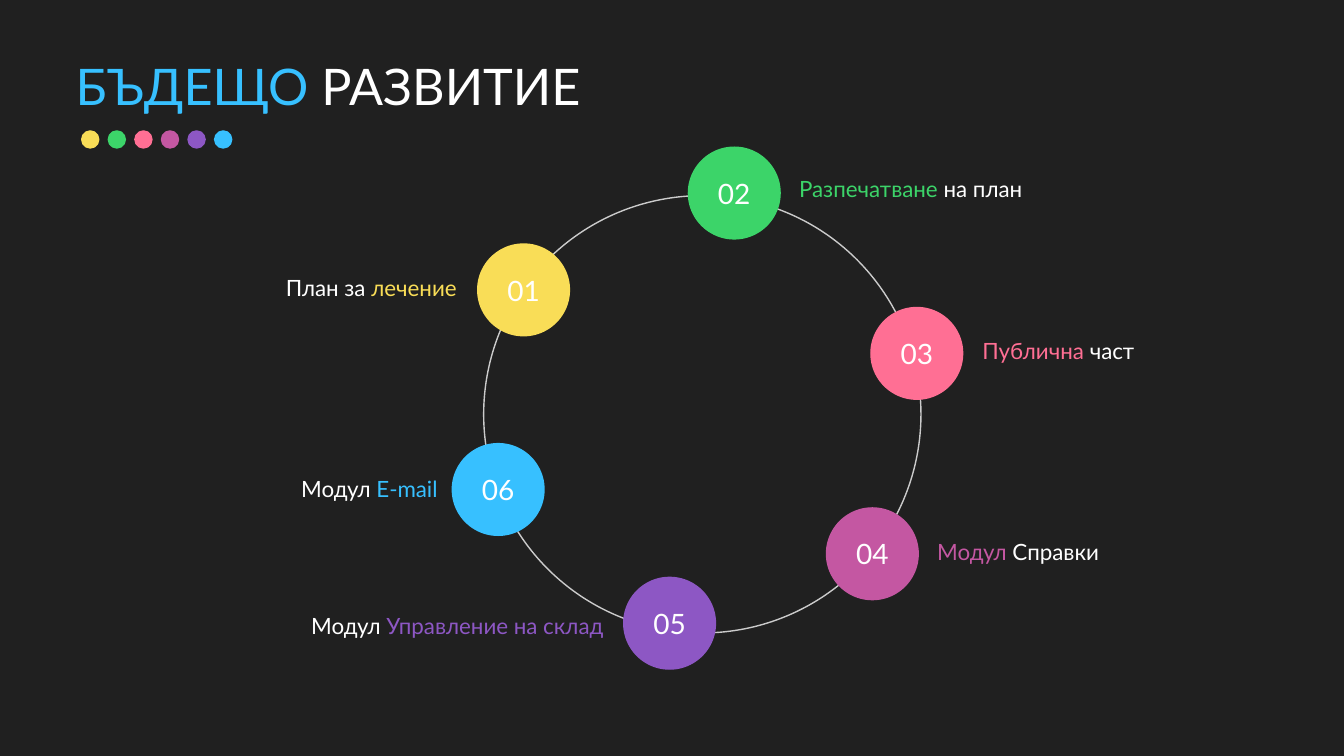
from pptx import Presentation
from pptx.dml.color import RGBColor
from pptx.enum.shapes import MSO_SHAPE as Shape
from pptx.enum.text import MSO_ANCHOR as Anchor, MSO_AUTO_SIZE as Fit, PP_ALIGN as Align
from pptx.util import Cm, Pt

WHITE = "FFFFFF"
YELLOW, GREEN, PINK = "F9DD57", "3CD469", "FF6F94"
MAUVE, PURPLE, BLUE = "C457A2", "8D57C4", "37C0FF"


def tint(code):
    return RGBColor.from_string(code)


class Deck:
    font = "Lato"
    ground = "202020"

    def __init__(self, wide, high):
        self.show = Presentation()
        self.show.slide_width, self.show.slide_height = Cm(wide), Cm(high)

    def add(self):
        self.slide = self.show.slides.add_slide(self.show.slide_layouts[5])
        fill = self.slide.background.fill
        fill.solid()
        fill.fore_color.rgb = tint(self.ground)

    def letter(self, frame, runs, size, align, anchor):
        frame.vertical_anchor = anchor
        para = frame.paragraphs[0]
        para.alignment = align
        for words, color in runs:
            run = para.add_run()
            run.text = words
            run.font.name = self.font
            run.font.size = Pt(size)
            run.font.color.rgb = tint(color)

    def title(self, left, top, wide, high, runs):
        box = self.slide.shapes.title
        box.left, box.top, box.width, box.height = Cm(left), Cm(top), Cm(wide), Cm(high)
        box.text_frame.auto_size = Fit.NONE
        self.letter(box.text_frame, runs, 36, Align.LEFT, Anchor.TOP)

    def label(self, left, top, wide, runs, align):
        box = self.slide.shapes.add_textbox(Cm(left), Cm(top), Cm(wide), Cm(0.94))
        box.text_frame.word_wrap = True
        box.text_frame.auto_size = Fit.SHAPE_TO_FIT_TEXT
        self.letter(box.text_frame, runs, 16, align, Anchor.TOP)

    def disc(self, kind, left, top, size, line, fill=None):
        disc = self.slide.shapes.add_shape(kind, Cm(left), Cm(top), Cm(size), Cm(size))
        disc.shadow.inherit = False
        disc.line.color.rgb = tint(line)
        disc.line.width = Pt(1)
        if fill:
            disc.fill.solid()
            disc.fill.fore_color.rgb = tint(fill)
        else:
            disc.fill.background()
        return disc

    def badge(self, left, top, color, text):
        disc = self.disc(Shape.OVAL, left, top, 2.31, color, color)
        self.letter(disc.text_frame, [(text, WHITE)], 20, Align.CENTER, Anchor.MIDDLE)


def main():
    deck = Deck(33.87, 19.05)
    deck.add()
    deck.title(1.65, 1.27, 29.24, 1.8, [("БЪДЕЩО", BLUE), (" РАЗВИТИЕ", WHITE)])

    for i, color in enumerate([YELLOW, GREEN, PINK, MAUVE, PURPLE, BLUE]):
        deck.disc(Shape.FLOWCHART_CONNECTOR, 2.06 + i * 0.67, 3.3, 0.43, color, color)

    deck.disc(Shape.FLOWCHART_CONNECTOR, 12.19, 4.93, 11.02, "CBCBCB")

    left, right = Align.LEFT, Align.RIGHT
    steps = [
        (YELLOW, (12.04, 6.15), (5.05, 6.78, 6.71), right,
         [("План за ", WHITE), ("лечение", YELLOW)]),
        (GREEN, (17.35, 3.71), (19.89, 4.29, 7.54), left,
         [("Разпечатване", GREEN), (" на план", WHITE)]),
        (PINK, (21.95, 7.75), (24.51, 8.38, 6.71), left,
         [("Публична", PINK), (" част", WHITE)]),
        (MAUVE, (20.83, 12.8), (23.37, 13.44, 6.71), left,
         [("Модул", MAUVE), (" Справки", WHITE)]),
        (PURPLE, (15.72, 14.55), (5.38, 15.29, 10.08), right,
         [("Модул ", WHITE), ("Управление на склад", PURPLE)]),
        (BLUE, (11.4, 11.18), (5.64, 11.84, 5.64), right,
         [("Модул ", WHITE), ("E-mail", BLUE)]),
    ]
    for num, (color, spot, place, align, runs) in enumerate(steps, 1):
        deck.label(*place, runs, align)
        deck.badge(*spot, color, f"{num:02}")

    deck.show.save("out.pptx")


if __name__ == "__main__":
    main()
